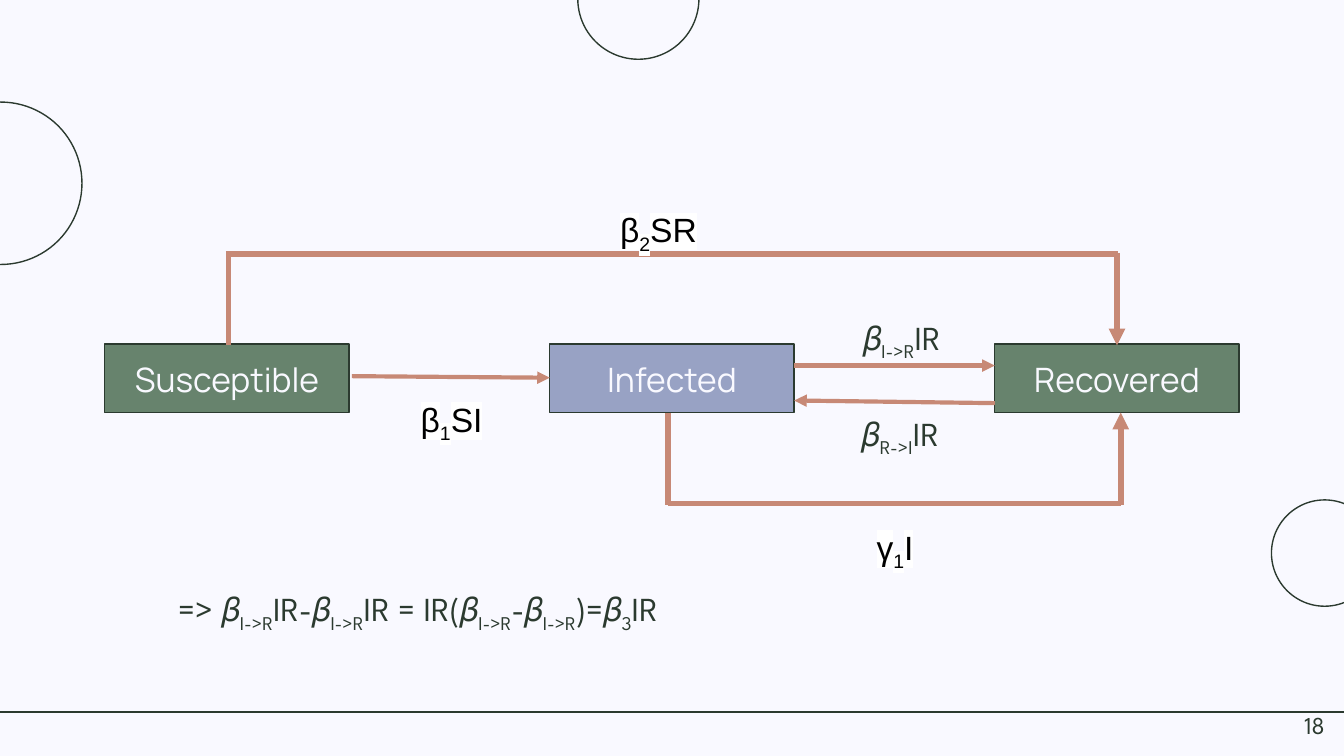
from dataclasses import dataclass

from lxml.etree import SubElement
from pptx import Presentation
from pptx.dml.color import RGBColor
from pptx.enum.shapes import MSO_CONNECTOR, MSO_SHAPE
from pptx.enum.text import MSO_ANCHOR, PP_ALIGN
from pptx.oxml.ns import qn
from pptx.util import Cm, Pt

PAPER, INK, CLAY = "F9F9FF", "2B3A2F", "C78976"
GREEN, BLUE, BLACK, WHITE = "67836D", "98A2C4", "000000", "FFFFFF"
INSET = 0.25
BOX_LEFT, BOX_STEP, BOX_TOP, BOX_W, BOX_H = 1.98, 8.41, 6.5, 4.62, 1.3


@dataclass
class Circle:
    left: float
    top: float
    size: float


@dataclass
class Compartment:
    name: str
    fill: str


@dataclass
class Link:
    x1: float
    y1: float
    x2: float
    y2: float
    width: float = 3
    arrow: bool = False
    color: str = CLAY


@dataclass
class Label:
    text: str  # "|" switches between normal text and subscript
    left: float
    top: float
    width: float = 6.65
    height: float = 1.12
    marked: bool = False  # black Arial on a white highlight
    size: float = 18
    align: PP_ALIGN = PP_ALIGN.CENTER
    spacing: float = 1.15


CIRCLES = [
    Circle(-1.52, 1.93, 3.07),
    Circle(10.92, -1.17, 2.29),
    Circle(24.03, 9.45, 2.01),
]
COMPARTMENTS = [
    Compartment("Susceptible", GREEN),
    Compartment("Infected", BLUE),
    Compartment("Recovered", GREEN),
]
LINKS = [
    # Direct flows between neighbours
    Link(6.65, 7.11, 10.39, 7.14, 2.25, True),
    Link(15.01, 6.91, 18.8, 6.91, 2.25, True),
    Link(18.8, 7.62, 15.01, 7.57, 2.25, True),
    # Upper path, susceptible to recovered
    Link(4.32, 6.53, 4.32, 4.78),
    Link(4.27, 4.8, 21.13, 4.8),
    Link(21.11, 4.78, 21.11, 6.53, arrow=True),
    # Lower path, infected to recovered
    Link(12.62, 7.8, 12.62, 9.55),
    Link(12.62, 9.52, 21.18, 9.52),
    Link(21.18, 9.55, 21.18, 7.8, arrow=True),
]
LABELS = [
    Label("β|2|SR", 9.12, 3.58, marked=True),
    Label("β|1|SI", 5.21, 7.16, marked=True),
    Label("γ|1|I", 13.59, 9.58, marked=True),
    Label("𝛽|I->R|IR", 13.72, 5.61),
    Label("𝛽|R->I|IR", 12.85, 7.42, 8.33, 1.27),
    Label("=> 𝛽|I->R|IR-𝛽|I->R|IR = IR(𝛽|I->R|-𝛽|I->R|)=𝛽|3|IR",
          2.21, 10.74, 11.38, 2.49),
    Label("18", 23.77, 13.18, 1.52, 1.09, size=13,
          align=PP_ALIGN.RIGHT, spacing=1),
]


def rgb(value: str) -> RGBColor:
    return RGBColor.from_string(value)


def set_insets(tf) -> None:
    tf.margin_left = tf.margin_right = Cm(INSET)
    tf.margin_top = tf.margin_bottom = Cm(INSET)


def set_font(p, name: str, size: float, color: str) -> None:
    p.font.name = name
    p.font.size = Pt(size)
    p.font.color.rgb = rgb(color)


def set_outline(sp) -> None:
    sp.shadow.inherit = False
    sp.line.color.rgb = rgb(INK)
    sp.line.width = Pt(0.75)


def draw_circle(s, c: Circle) -> None:
    sp = s.shapes.add_shape(MSO_SHAPE.OVAL, Cm(c.left), Cm(c.top),
                            Cm(c.size), Cm(c.size))
    sp.fill.background()
    set_outline(sp)


def draw_compartment(s, index: int, c: Compartment) -> None:
    sp = s.shapes.add_shape(MSO_SHAPE.RECTANGLE, Cm(BOX_LEFT + index * BOX_STEP),
                            Cm(BOX_TOP), Cm(BOX_W), Cm(BOX_H))
    sp.fill.solid()
    sp.fill.fore_color.rgb = rgb(c.fill)
    set_outline(sp)
    tf = sp.text_frame
    set_insets(tf)
    tf.vertical_anchor = MSO_ANCHOR.BOTTOM
    p = tf.paragraphs[0]
    p.text = c.name
    p.alignment = PP_ALIGN.CENTER
    set_font(p, "Manrope", 18, PAPER)


def draw_link(s, k: Link) -> None:
    sp = s.shapes.add_connector(MSO_CONNECTOR.STRAIGHT, Cm(k.x1), Cm(k.y1),
                                Cm(k.x2), Cm(k.y2))
    sp.line.color.rgb = rgb(k.color)
    sp.line.width = Pt(k.width)
    if k.arrow:
        SubElement(sp.line._get_or_add_ln(), qn("a:tailEnd"), type="triangle")
    SubElement(sp._element.spPr, qn("a:effectLst"))


def draw_label(s, label: Label) -> None:
    sp = s.shapes.add_textbox(Cm(label.left), Cm(label.top),
                              Cm(label.width), Cm(label.height))
    tf = sp.text_frame
    tf.word_wrap = True
    set_insets(tf)
    p = tf.paragraphs[0]
    p.alignment = label.align
    p.line_spacing = label.spacing
    font, color = ("Arial", BLACK) if label.marked else ("League Spartan", INK)
    set_font(p, font, label.size, color)
    for i, part in enumerate(label.text.split("|")):
        r = p.add_run()
        r.text = part
        props = r._r.get_or_add_rPr()
        if i % 2:
            props.set("baseline", "-25000")
        if label.marked:
            highlight = SubElement(props, qn("a:highlight"))
            SubElement(highlight, qn("a:srgbClr"), val=WHITE)


def main() -> None:
    prs = Presentation()
    prs.slide_width, prs.slide_height = Cm(25.4), Cm(14.29)
    s = prs.slides.add_slide(prs.slide_layouts[6])
    s.background.fill.solid()
    s.background.fill.fore_color.rgb = rgb(PAPER)

    # Footer rule and decorative circles
    draw_link(s, Link(-0.05, 13.46, 25.45, 13.46, 0.75, color=INK))
    for circle in CIRCLES:
        draw_circle(s, circle)

    # Model diagram
    for i, compartment in enumerate(COMPARTMENTS):
        draw_compartment(s, i, compartment)
    for link in LINKS:
        draw_link(s, link)

    # Rates, equation and page number
    for label in LABELS:
        draw_label(s, label)

    prs.save("out.pptx")


if __name__ == "__main__":
    main()
